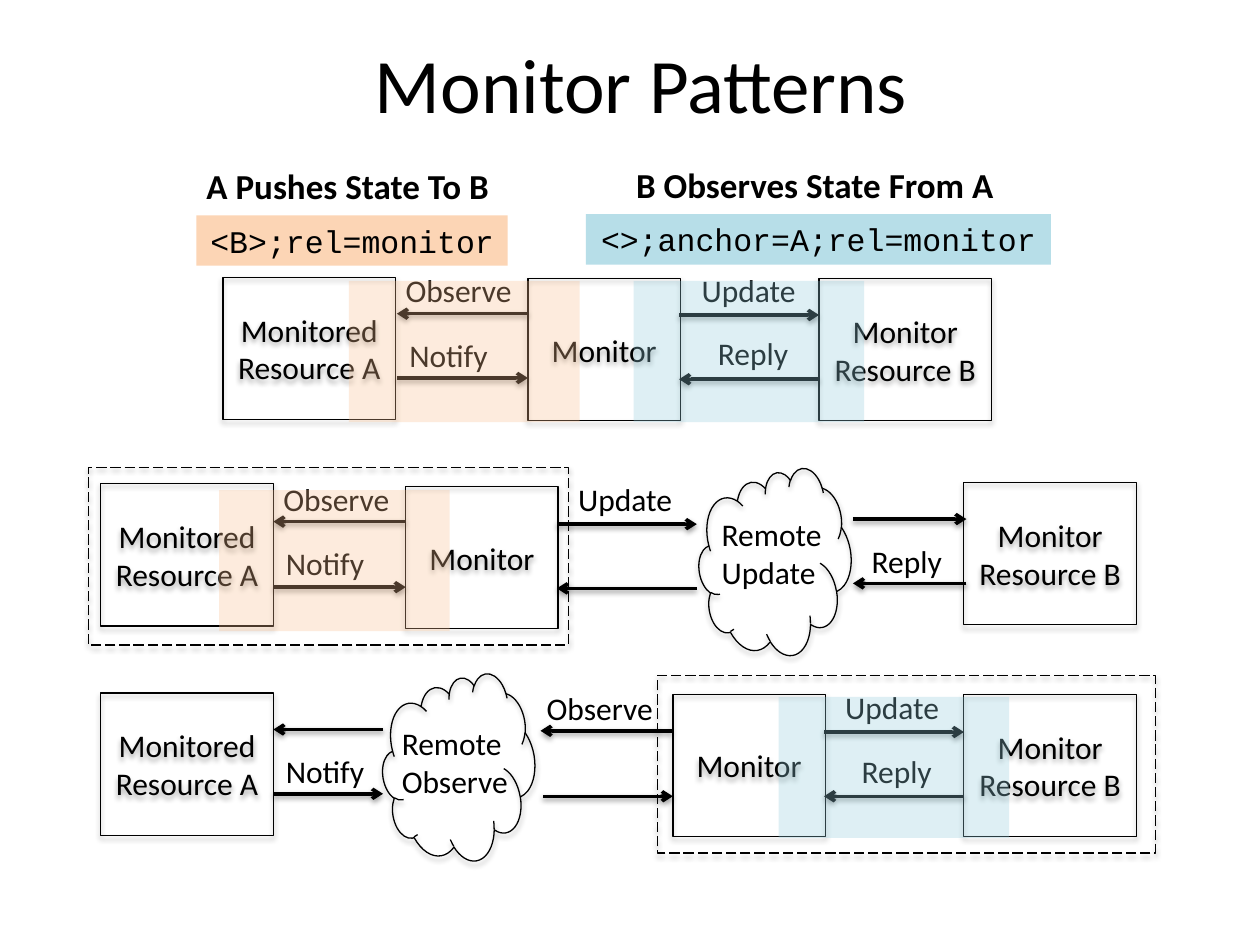
from typing import NamedTuple

from lxml.etree import SubElement
from pptx import Presentation
from pptx.dml.color import RGBColor
from pptx.enum.dml import MSO_LINE
from pptx.enum.shapes import MSO_CONNECTOR, MSO_SHAPE as Kind
from pptx.enum.text import MSO_ANCHOR as Anchor, MSO_AUTO_SIZE as Fit, PP_ALIGN as Align
from pptx.oxml.ns import qn
from pptx.util import Inches, Pt

BLACK = RGBColor(0x00, 0x00, 0x00)
PEACH = RGBColor(0xFC, 0xD5, 0xB5)
ORANGE = RGBColor(0xFA, 0xC0, 0x90)
PALE = RGBColor(0xB7, 0xDE, 0xE8)
BLUE = RGBColor(0x93, 0xCD, 0xDD)

SIDE, MID, HIGH = 1.37, 1.21, 1.13  # widths and height of the resource boxes
SOURCE = "Monitored\vResource A"
CORE = "Monitor"
TARGET = "Monitor Resource B"


class Box(NamedTuple):
    text: str
    x: float
    y: float
    w: float


class Arrow(NamedTuple):
    tail: float
    tip: float
    y: float


class Label(NamedTuple):
    text: str
    x: float
    y: float
    w: float
    h: float = 0.4
    size: int = 18
    bold: bool = False
    wrap: bool = False


class Tag(NamedTuple):
    text: str
    x: float
    y: float
    w: float
    tint: RGBColor


class Band(NamedTuple):
    x: float
    y: float
    tint: RGBColor


class Cloud(NamedTuple):
    x: float
    y: float


class Frame(NamedTuple):
    x: float
    y: float
    w: float


BOXES = [
    Box(SOURCE, 1.77, 2.2, SIDE), Box(CORE, 4.19, 2.21, MID), Box(TARGET, 6.5, 2.21, SIDE),
    Box(SOURCE, 0.8, 3.84, SIDE), Box(CORE, 3.22, 3.86, MID), Box(TARGET, 7.65, 3.83, SIDE),
    Box(SOURCE, 0.8, 5.5, SIDE), Box(CORE, 5.34, 5.51, MID), Box(TARGET, 7.65, 5.51, SIDE),
]
ARROWS = [
    # Direct pattern
    Arrow(4.19, 3.15, 2.49), Arrow(3.15, 4.19, 3), Arrow(5.39, 6.5, 2.5), Arrow(6.5, 5.39, 3.01),
    # Remote update
    Arrow(3.22, 2.17, 4.14), Arrow(2.17, 3.22, 4.66), Arrow(4.42, 5.53, 4.16),
    Arrow(5.53, 4.42, 4.67), Arrow(6.77, 7.67, 4.12), Arrow(7.67, 6.77, 4.63),
    # Remote observe
    Arrow(3.04, 2.17, 5.79), Arrow(2.17, 3.04, 6.3), Arrow(5.33, 4.29, 5.8),
    Arrow(4.31, 5.34, 6.32), Arrow(6.54, 7.65, 5.81), Arrow(7.65, 6.54, 6.32),
]
WIDTHS = {"Observe": 1.05, "Notify": 0.86, "Update": 0.96, "Reply": 0.77}
SPOTS = {
    "Observe": [(3.12, 2.1), (2.15, 3.76), (4.24, 5.42)],
    "Notify": [(3.15, 2.62), (2.17, 4.27), (2.17, 5.92)],
    "Update": [(5.47, 2.1), (4.49, 3.76), (6.61, 5.41)],
    "Reply": [(5.6, 2.6), (6.82, 4.25), (6.74, 5.92)],
}
CLOUDS = [Cloud(5.55, 3.76), Cloud(3.04, 5.39)]
FRAMES = [Frame(0.7, 3.71, 3.81), Frame(5.22, 5.36, 3.95)]
TAGS = [
    Tag("<>;anchor=A;rel=monitor", 4.65, 1.7, 3.69, PALE),
    Tag("<B>;rel=monitor", 1.56, 1.71, 2.47, PEACH),
]
BANDS = [
    Band(2.77, 2.23, ORANGE), Band(5.03, 2.23, BLUE),
    Band(1.74, 3.89, ORANGE), Band(6.18, 5.53, BLUE),
]
NOTES = [
    Label("A Pushes State To B", 1.54, 1.26, 2.51, 0.44, 20, True),
    Label("B Observes State From A", 4.95, 1.25, 3.08, 0.44, 20, True),
    Label("Remote Update", 5.63, 4.04, 1.06, 0.71, wrap=True),
    Label("Remote Observe", 3.09, 5.7, 1.41, 0.71, wrap=True),
]


def write(shape, text: str, size: int = 18, face: str = "Calibri",
          bold: bool = False, align=Align.CENTER, wrap: bool = True) -> None:
    frame = shape.text_frame
    frame.text = text
    frame.word_wrap = wrap
    para = frame.paragraphs[0]
    para.alignment = align
    font = para.font
    font.name, font.size, font.bold = face, Pt(size), bold
    font.color.rgb = BLACK


def add_shade(effects, gap: float, alpha: int) -> None:
    shade = SubElement(effects, qn("a:outerShdw"), blurRad=str(Pt(3.1)), dist=str(Pt(gap)),
                       dir="5400000", rotWithShape="0")
    tone = SubElement(shade, qn("a:srgbClr"), val=str(BLACK))
    SubElement(tone, qn("a:alpha"), val=str(alpha * 1000))


def add_plain(slide, kind, x: float, y: float, w: float, h: float):
    shape = slide.shapes.add_shape(kind, Inches(x), Inches(y), Inches(w), Inches(h))
    shape.shadow.inherit = False
    return shape


def add_outline(slide, kind, x: float, y: float, w: float, h: float):
    shape = add_plain(slide, kind, x, y, w, h)
    shape.fill.background()
    shape.line.color.rgb = BLACK
    shape.line.width = Pt(0.75)
    add_shade(shape._element.spPr.find(qn("a:effectLst")), 1.8, 35)
    return shape


def add_fill(slide, x: float, y: float, w: float, h: float, tint: RGBColor):
    shape = add_plain(slide, Kind.RECTANGLE, x, y, w, h)
    shape.fill.solid()
    shape.fill.fore_color.rgb = tint
    shape.line.fill.background()
    return shape


def add_arrow(slide, arrow: Arrow) -> None:
    y = Inches(arrow.y)
    line = slide.shapes.add_connector(MSO_CONNECTOR.STRAIGHT, Inches(arrow.tail), y,
                                      Inches(arrow.tip), y)
    line.line.color.rgb = BLACK
    line.line.width = Pt(2)
    props = line._element.spPr
    SubElement(props.find(qn("a:ln")), qn("a:tailEnd"), type="arrow")
    add_shade(SubElement(props, qn("a:effectLst")), 1.6, 38)


def add_label(slide, label: Label, align=Align.LEFT):
    box = slide.shapes.add_textbox(Inches(label.x), Inches(label.y),
                                   Inches(label.w), Inches(label.h))
    write(box, label.text, label.size, bold=label.bold, align=align, wrap=label.wrap)
    return box


def main() -> None:
    deck = Presentation()
    deck.slide_width, deck.slide_height = Inches(10), Inches(7.5)
    slide = deck.slides.add_slide(deck.slide_layouts[6])

    # Title
    title = add_label(slide, Label("Monitor Patterns", 0.59, 0.03, 9, 1.25, 44, wrap=True),
                      Align.CENTER)
    title.text_frame.vertical_anchor = Anchor.MIDDLE

    # Resources, messages and clouds
    for box in BOXES:
        write(add_outline(slide, Kind.RECTANGLE, box.x, box.y, box.w, HIGH), box.text)
    for arrow in ARROWS:
        add_arrow(slide, arrow)
    for text, spots in SPOTS.items():
        for x, y in spots:
            add_label(slide, Label(text, x, y, WIDTHS[text]))
    for cloud in CLOUDS:
        add_outline(slide, Kind.CLOUD, cloud.x, cloud.y, 1.21, 1.45).rotation = 350.3

    # Dashed device frames
    for frame in FRAMES:
        shape = add_outline(slide, Kind.RECTANGLE, frame.x, frame.y, frame.w, 1.41)
        shape.line.dash_style = MSO_LINE.LONG_DASH

    # Link tags
    for tag in TAGS:
        shape = add_fill(slide, tag.x, tag.y, tag.w, 0.4, tag.tint)
        write(shape, tag.text, face="Courier New", wrap=False)
        shape.text_frame.vertical_anchor = Anchor.TOP
        shape.text_frame.auto_size = Fit.SHAPE_TO_FIT_TEXT

    # See-through bands over the linked parts
    for band in BANDS:
        shape = add_fill(slide, band.x, band.y, 1.83, 1.12, band.tint)
        tone = shape._element.spPr.find(qn("a:solidFill")).find(qn("a:srgbClr"))
        SubElement(tone, qn("a:alpha"), val="30000")

    # Headings and cloud names
    for note in NOTES:
        add_label(slide, note)

    deck.save("out.pptx")


if __name__ == "__main__":
    main()
